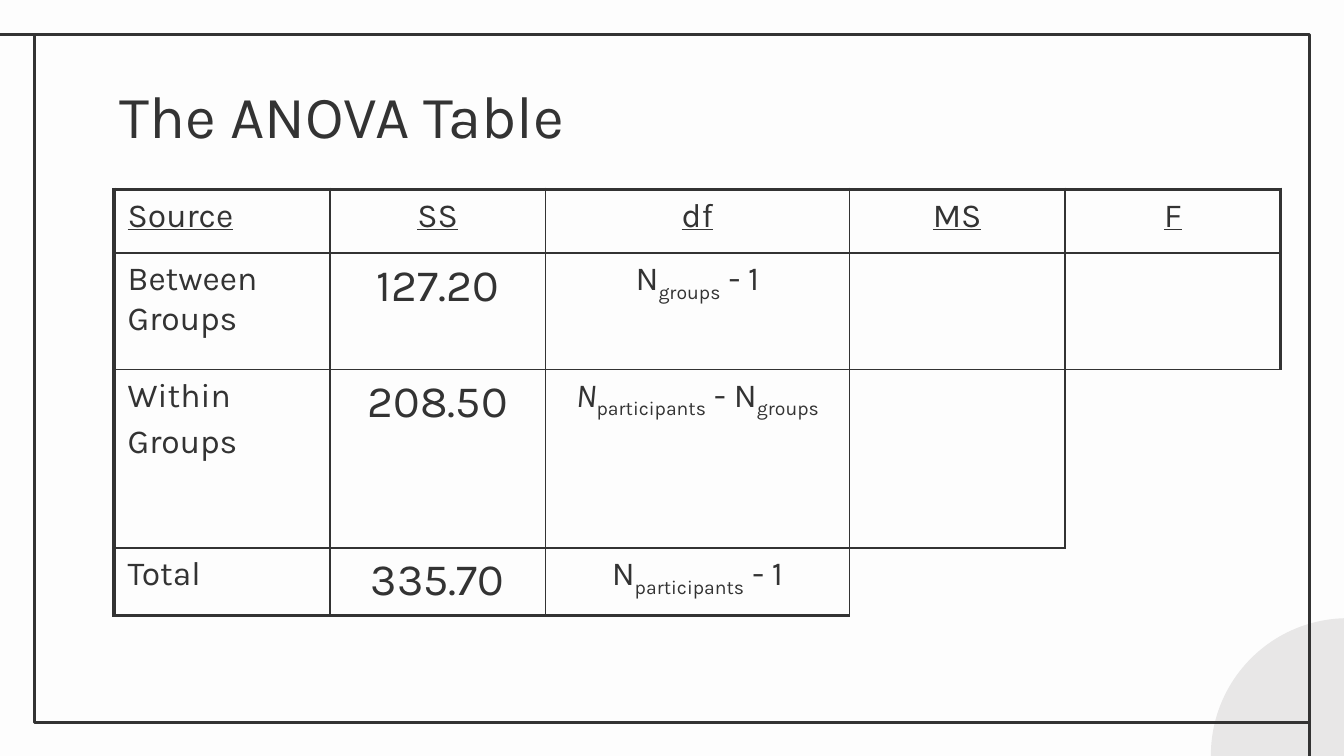
from typing import NamedTuple, Optional

from lxml.etree import SubElement
from pptx import Presentation
from pptx.dml.color import RGBColor
from pptx.enum.shapes import MSO_CONNECTOR as CONN, MSO_SHAPE as SHAPE
from pptx.enum.text import MSO_ANCHOR as ANCHOR, PP_ALIGN as ALIGN
from pptx.oxml.ns import qn
from pptx.util import Emu, Pt

PX = 4572  # 200 px to the inch
INK, PAPER, GREY = "333333", "FDFDFD", "E8E7E7"
FONT = "Karla"
THIN, THICK = 1, 2.25


class Run(NamedTuple):
    text: str
    sub: bool = False
    italic: bool = False


class Cell(NamedTuple):
    paras: list[list[Run]]
    size: int = 18
    underline: bool = False
    center: bool = True


class Line(NamedTuple):
    x1: int
    y1: int
    x2: int
    y2: int


def px(n: int) -> Emu:
    return Emu(n * PX)


def rgb(color: str) -> RGBColor:
    return RGBColor.from_string(color)


def label(*lines: str) -> Cell:
    return Cell([[Run(t)] for t in lines], center=False)


def head(text: str, center: bool = True) -> Cell:
    return Cell([[Run(text)]], underline=True, center=center)


def value(text: str) -> Cell:
    return Cell([[Run(text)]], size=24)


def formula(*runs: Run) -> Cell:
    return Cell([list(runs)])


def style(p, size: int) -> None:
    p.font.name, p.font.size = FONT, Pt(size)
    p.font.color.rgb = rgb(INK)


def add_shape(s, kind, x: int, y: int, w: int, h: int,
              fill: Optional[str] = None, line: Optional[str] = None) -> None:
    sp = s.shapes.add_shape(kind, px(x), px(y), px(w), px(h))
    sp.shadow.inherit = False
    if fill:
        sp.fill.solid()
        sp.fill.fore_color.rgb = rgb(fill)
    else:
        sp.fill.background()
    if line:
        sp.line.color.rgb, sp.line.width = rgb(line), Pt(1.5)
    else:
        sp.line.fill.background()


def add_line(s, line: Line) -> None:
    c = s.shapes.add_connector(CONN.STRAIGHT, *map(px, line))
    c.line.color.rgb, c.line.width = rgb(INK), Pt(1.5)
    SubElement(c._element.spPr, qn("a:effectLst"))


def set_borders(cell, widths: dict[str, float]) -> None:
    """Widths in points by side; 0 hides the border."""
    tc_pr = cell._tc.get_or_add_tcPr()
    for i, (side, width) in enumerate(widths.items()):
        ln = SubElement(tc_pr, qn(f"a:ln{side}"), w=str(Pt(width)))
        if width:
            fill = SubElement(ln, qn("a:solidFill"))
            SubElement(fill, qn("a:srgbClr"), val=INK)
        else:
            SubElement(ln, qn("a:noFill"))
        tc_pr.insert(i, ln)


def fill_cell(cell, content: Cell) -> None:
    tf = cell.text_frame
    for i, runs in enumerate(content.paras):
        p = tf.add_paragraph() if i else tf.paragraphs[0]
        if i:
            p.space_before = Pt(0.2 * content.size)
        p.alignment = ALIGN.CENTER if content.center else ALIGN.LEFT
        style(p, content.size)
        p.font.underline = content.underline
        for run in runs:
            r = p.add_run()
            r.text = run.text
            if run.italic:
                r.font.italic = True
            if run.sub:
                r.font._element.set("baseline", "-25000")


COLS = [321, 321, 452, 321, 321]
ROWS = [95, 173, 266, 95]
BOXED = [5, 5, 4, 3]  # boxed cells in each row, from the left
N, GROUPS, PARTICIPANTS = Run("N"), Run("groups", sub=True), Run("participants", sub=True)
CELLS = [
    [head("Source", center=False), head("SS"), head("df"), head("MS"), head("F")],
    [label("Between Groups"), value("127.20"), formula(N, GROUPS, Run(" - 1"))],
    [label("Within", "Groups"), value("208.50"),
     formula(Run("N", italic=True), PARTICIPANTS, Run(" - N"), GROUPS)],
    [label("Total"), value("335.70"), formula(N, PARTICIPANTS, Run(" - 1"))],
]


def is_boxed(row: int, col: int) -> bool:
    return 0 <= row < len(ROWS) and 0 <= col < BOXED[row]


def add_anova_table(s, x: int, y: int) -> None:
    frame = s.shapes.add_table(len(ROWS), len(COLS), px(x), px(y),
                               px(sum(COLS)), px(sum(ROWS)))
    table = frame.table
    table.first_row = table.horz_banding = False
    for col, w in zip(table.columns, COLS):
        col.width = px(w)
    for row, h in zip(table.rows, ROWS):
        row.height = px(h)

    sides = {"L": (0, -1), "R": (0, 1), "T": (-1, 0), "B": (1, 0)}
    for r in range(len(ROWS)):
        for c in range(len(COLS)):
            cell = table.cell(r, c)
            cell.fill.background()
            outer = {"L": c == 0, "R": c == len(COLS) - 1,
                     "T": r == 0, "B": r == len(ROWS) - 1}
            widths = {}
            for side, (dr, dc) in sides.items():
                drawn = is_boxed(r, c) or is_boxed(r + dr, c + dc)
                widths[side] = (THICK if outer[side] else THIN) if drawn else 0
            set_borders(cell, widths)
            if c < len(CELLS[r]):
                fill_cell(cell, CELLS[r][c])


def add_title(s, text: str) -> None:
    tf = s.shapes.add_textbox(px(158), px(98), px(1686), px(126)).text_frame
    tf.word_wrap = True
    tf.vertical_anchor = ANCHOR.TOP
    tf.margin_left = tf.margin_right = tf.margin_top = tf.margin_bottom = px(20)
    p = tf.paragraphs[0]
    p.text = text
    style(p, 32)


def main() -> None:
    prs = Presentation()
    prs.slide_width, prs.slide_height = px(2000), px(1125)
    s = prs.slides.add_slide(prs.slide_layouts[6])
    s.background.fill.solid()
    s.background.fill.fore_color.rgb = rgb(PAPER)

    # Corner disc and frame
    add_shape(s, SHAPE.OVAL, 1802, 920, 408, 408, fill=GREY)
    add_shape(s, SHAPE.RECTANGLE, 51, 51, 1898, 1024, line=INK)
    for line in (Line(51, 51, 0, 51), Line(1949, 1075, 1949, 1125)):
        add_line(s, line)

    # Content
    add_title(s, "The ANOVA Table")
    add_anova_table(s, 170, 282)
    prs.save("out.pptx")


if __name__ == "__main__":
    main()
